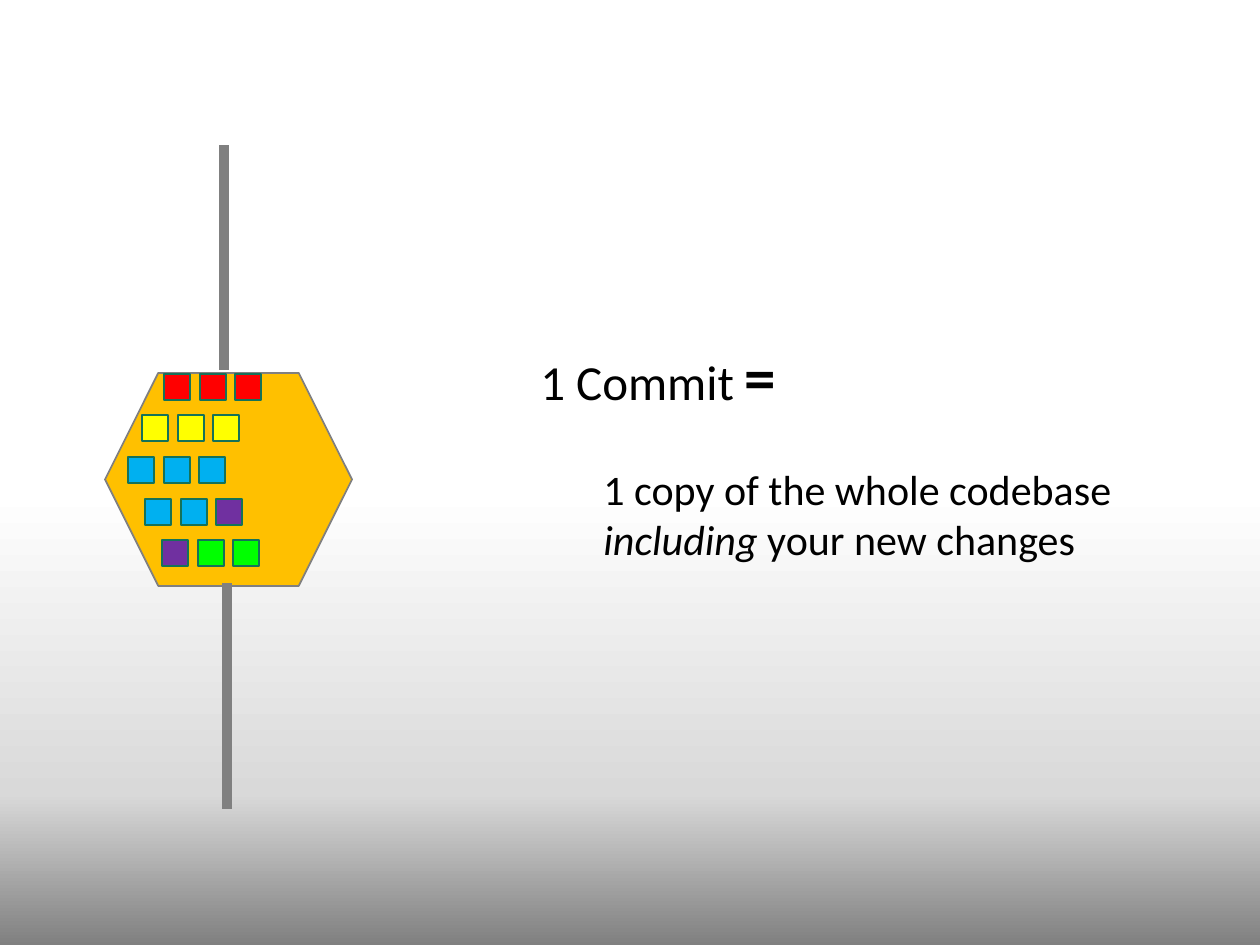
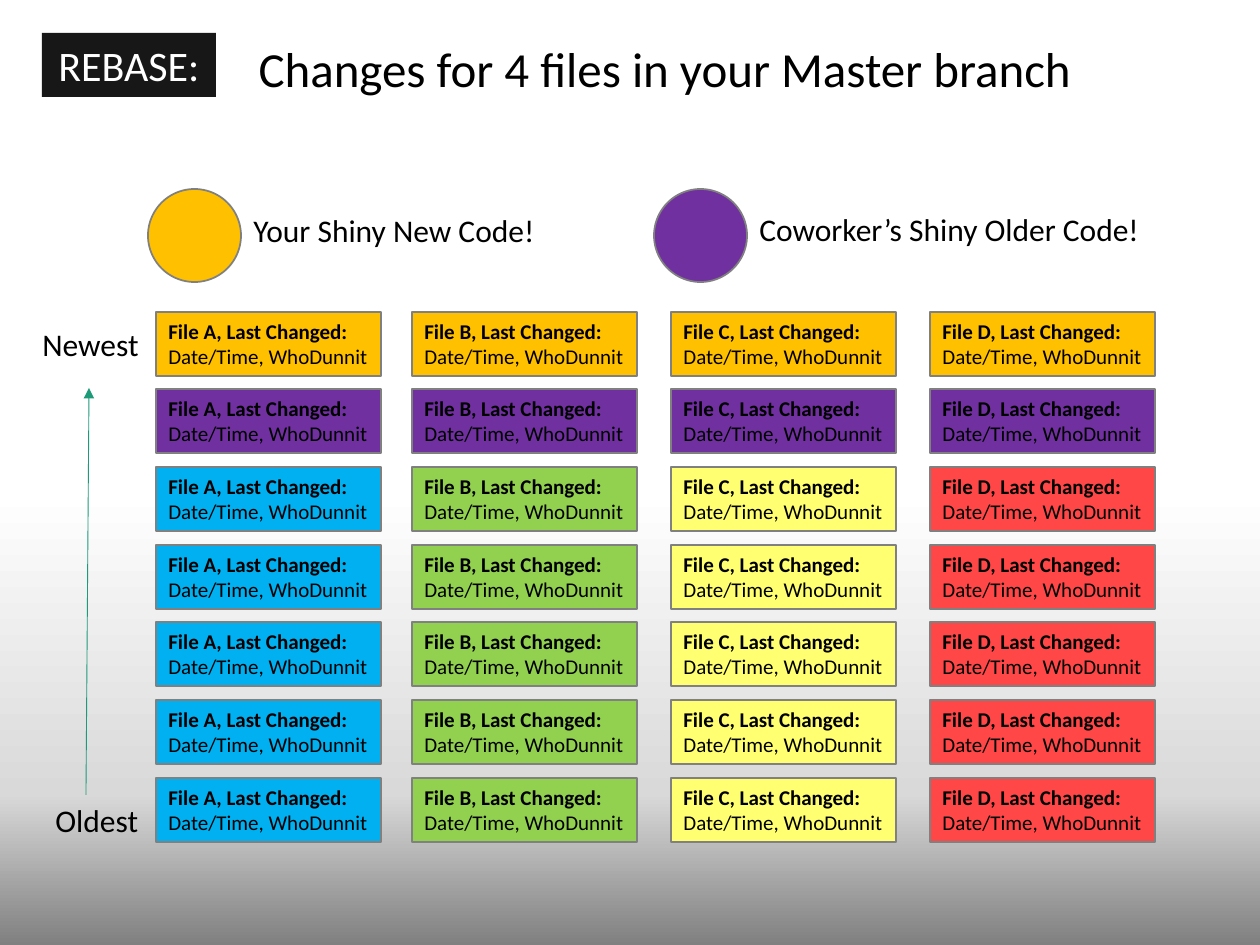
import lxml.etree
import pptx
import pptx.dml.color
import pptx.enum.shapes
import pptx.enum.text
import pptx.oxml.ns
import pptx.util

RGB = pptx.dml.color.RGBColor
PRESET = pptx.enum.shapes.MSO_SHAPE
ALIGN = pptx.enum.text.PP_ALIGN
qn = pptx.oxml.ns.qn

BLACK = RGB(0x00, 0x00, 0x00)
WHITE = RGB(0xFF, 0xFF, 0xFF)
CHARCOAL = RGB(0x18, 0x17, 0x17)
GRAY = RGB(0x80, 0x80, 0x80)
AMBER = RGB(0xFF, 0xC0, 0x00)
PURPLE = RGB(0x70, 0x30, 0xA0)
BLUE = RGB(0x00, 0xB0, 0xF0)
RED = RGB(0xFF, 0x00, 0x00)
YELLOW = RGB(0xFF, 0xFF, 0x00)
LIME = RGB(0x00, 0xFF, 0x00)
GREEN = RGB(0x92, 0xD0, 0x50)
PALE_YELLOW = RGB(0xFF, 0xFF, 0x71)
CORAL = RGB(0xFF, 0x47, 0x47)
TEAL = RGB(0x1D, 0x9A, 0x78)
DARK_TEAL = RGB(0x15, 0x72, 0x59)

BACKGROUND_STOPS = [(52, "FFFFFF"), (84, "D9D9D9"), (100, "808080")]
EMU_PER_PX = 914400 / 126


def box(*lengths):
    """Turn px lengths into EMU."""
    return [round(length * EMU_PER_PX) for length in lengths]


def write(paragraph, text, size, **formats):
    """Add one run in the deck's font; formats override the defaults."""
    run = paragraph.add_run()
    run.text = text
    values = {"name": "Calibri", "size": pptx.util.Pt(size), "bold": False, "italic": False}
    color = formats.pop("color", BLACK)
    for attribute, value in (values | formats).items():
        setattr(run.font, attribute, value)
    run.font.color.rgb = color


prs = pptx.Presentation()
prs.slide_width, prs.slide_height = box(1260, 945)

# Shared background: white fading to gray at the foot
background = prs.slide_master.background.fill
background.gradient()
background.gradient_angle = 270
stop_list = prs.slide_master.element.find(".//" + qn("a:gsLst"))
for stop in list(stop_list):
    stop_list.remove(stop)
for percent, color in BACKGROUND_STOPS:
    stop = lxml.etree.SubElement(stop_list, qn("a:gs"), pos=str(percent * 1000))
    lxml.etree.SubElement(stop, qn("a:srgbClr"), val=color)

commit_slide = prs.slides.add_slide(prs.slide_layouts.get_by_name("Blank"))
rebase_slide = prs.slides.add_slide(prs.slide_layouts.get_by_name("Title Only"))

# Plain shapes of both slides: slide, preset, place, fill, outline, outline width
shapes = [(commit_slide, PRESET.HEXAGON, (105, 373, 247, 213), AMBER, GRAY, 1)]

CODE_ROWS = [
    (164, (RED, RED, RED)),
    (142, (YELLOW, YELLOW, YELLOW)),
    (128, (BLUE, BLUE, BLUE)),
    (145, (BLUE, BLUE, PURPLE)),
    (162, (PURPLE, LIME, LIME)),
]
for row, (left, colors) in enumerate(CODE_ROWS):
    for offset, color in zip((0, 36, 71), colors):
        place = (left + offset, 374 + row * 125 // 3, 26, 26)
        shapes.append((commit_slide, PRESET.RECTANGLE, place, color, DARK_TEAL, 1))

for left, color in ((148, AMBER), (654, PURPLE)):
    shapes.append((rebase_slide, PRESET.OVAL, (left, 189, 93, 93), color, GRAY, 1))

# File history: the two newest rows share a colour, older rows use the file's own
FILES = [("A", 156, BLUE), ("B", 412, GREEN), ("C", 671, PALE_YELLOW), ("D", 930, CORAL)]
changes = []
for row in range(7):
    for file_name, left, file_color in FILES:
        color = (AMBER, PURPLE)[row] if row < 2 else file_color
        place = (left, 312 + row * 233 // 3, 225, 64)
        changes.append(file_name)
        shapes.append((rebase_slide, PRESET.RECTANGLE, place, color, GRAY, 0.75))
shapes.append((rebase_slide, PRESET.RECTANGLE, (42, 33, 174, 64), CHARCOAL, None, 0))

drawn = []
for slide, preset, place, fill, outline, width in shapes:
    shape = slide.shapes.add_shape(preset, *box(*place))
    shape.shadow.inherit = False
    shape.fill.solid()
    shape.fill.fore_color.rgb = fill
    if outline is None:
        shape.line.fill.background()
    else:
        shape.line.color.rgb = outline
        shape.line.width = pptx.util.Pt(width)
    drawn.append(shape)

*change_cards, rebase_tag = drawn[-len(changes) - 1:]
for file_name, card in zip(changes, change_cards):
    paragraph = card.text_frame.paragraphs[0]
    paragraph.alignment = ALIGN.LEFT
    write(paragraph, f"File {file_name}, Last Changed: ", 12, bold=True)
    write(paragraph, "Date/Time, WhoDunnit", 12)

tag_line = rebase_tag.text_frame.paragraphs[0]
tag_line.alignment = ALIGN.CENTER
write(tag_line, "REBASE:", 24, color=WHITE)

# Branch line above and below the commit, and the arrow of time
LINES = [
    (commit_slide, (224, 370, 224, 145), GRAY, 6, False),
    (commit_slide, (227, 809, 227, 583), GRAY, 6, False),
    (rebase_slide, (86, 795, 89, 388), TEAL, 0.5, True),
]
for slide, ends, color, width, has_arrow in LINES:
    line = slide.shapes.add_connector(pptx.enum.shapes.MSO_CONNECTOR.STRAIGHT, *box(*ends))
    line.line.color.rgb = color
    line.line.width = pptx.util.Pt(width)
    properties = line.element.spPr
    if has_arrow:
        lxml.etree.SubElement(properties.find(qn("a:ln")), qn("a:tailEnd"), type="triangle")
    lxml.etree.SubElement(properties, qn("a:effectLst"))

# Definition of a commit
definition = commit_slide.shapes.add_textbox(*box(528, 331, 819, 360)).text_frame
definition.word_wrap = True
term = definition.paragraphs[0]
write(term, "1 Commit ", 28)
write(term, "=", 36, bold=True)
meaning = definition.add_paragraph()
meaning.level = 1
meaning.space_before = pptx.util.Pt(29)
write(meaning, "1 copy of the whole codebase", 24)
addition = definition.add_paragraph()
addition.level = 1
write(addition, "including", 24, italic=True)
write(addition, " your new changes", 24)

# Title and labels of the file history
title = rebase_slide.shapes.title
title.left, title.top, title.width, title.height = box(246, 32, 864, 72)
title.text_frame.vertical_anchor = pptx.enum.text.MSO_ANCHOR.TOP
title_line = title.text_frame.paragraphs[0]
title_line.alignment = ALIGN.LEFT
write(title_line, "Changes for 4 files in your Master branch", 28)

LABELS = [
    ("Your Shiny New Code!", (241, 205, 321, 51)),
    ("Coworker’s Shiny Older Code!", (747, 204, 461, 51)),
    ("Newest", (30, 319, 174, 51)),
    ("Oldest", (43, 795, 174, 51)),
]
for text, place in LABELS:
    label = rebase_slide.shapes.add_textbox(*box(*place)).text_frame
    label.word_wrap = True
    write(label.paragraphs[0], text, 18)

prs.save("out.pptx")
